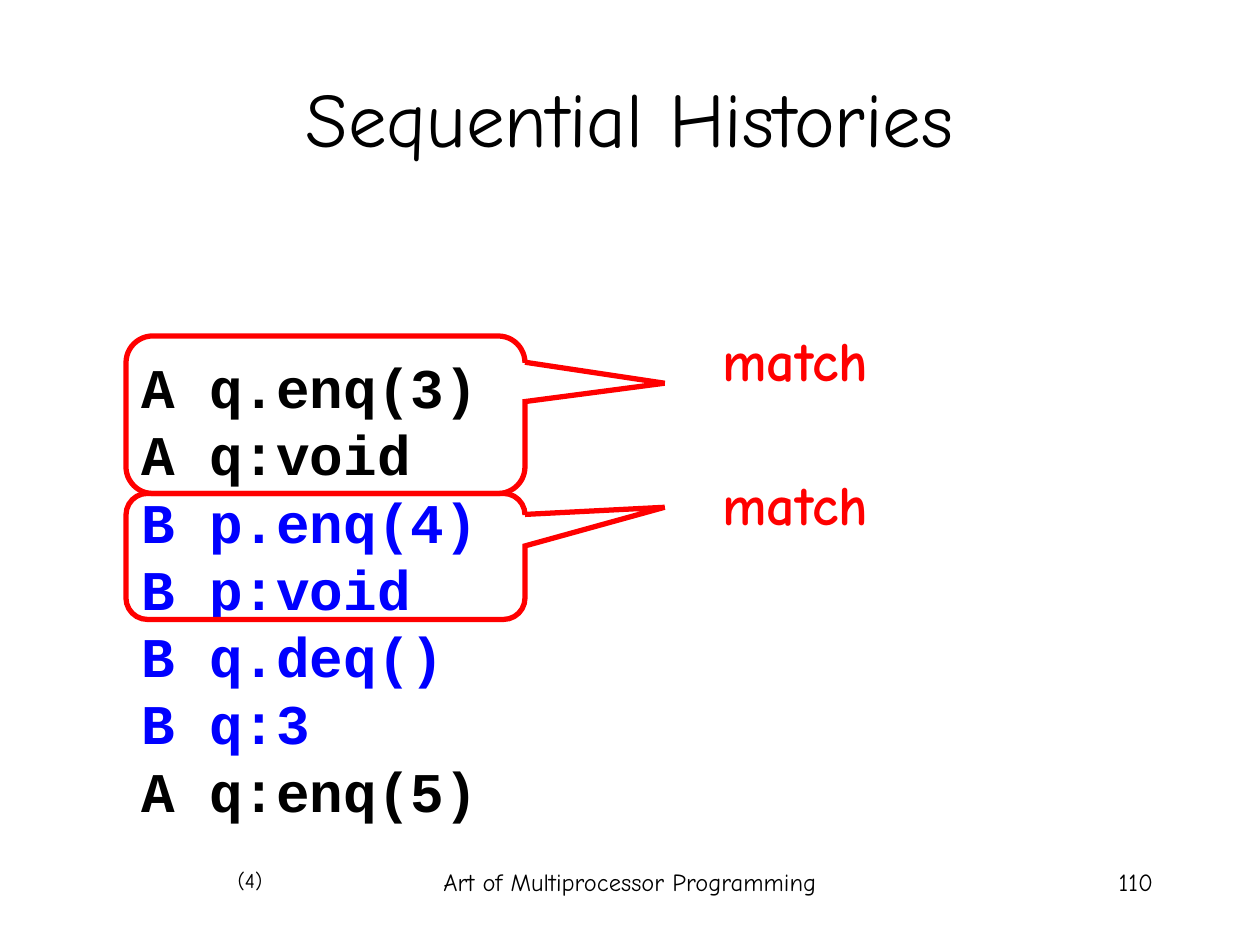
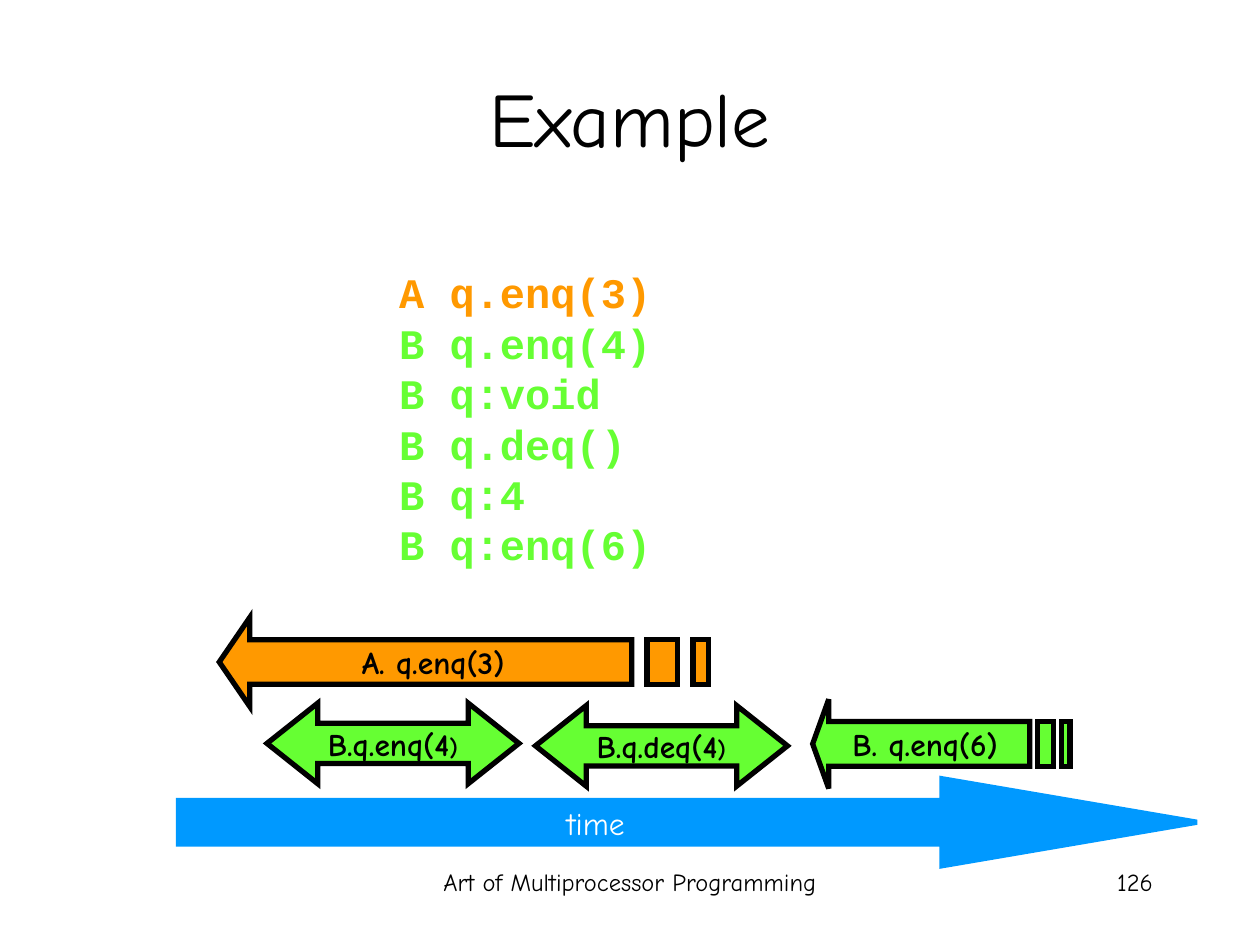
from lxml.etree import SubElement
from pptx import Presentation
from pptx.dml.color import RGBColor
from pptx.enum.shapes import MSO_SHAPE
from pptx.enum.text import MSO_ANCHOR, PP_ALIGN
from pptx.oxml.ns import qn
from pptx.util import Pt

BLACK, WHITE, RED, BLUE = "000000", "FFFFFF", "FF0000", "0000FF"
ORANGE, GREEN, SKY = "FF9900", "66FF33", "0099FF"
HAND, CODE = "Comic Neue", "Courier New"
LEFT, CENTER, RIGHT = PP_ALIGN.LEFT, PP_ALIGN.CENTER, PP_ALIGN.RIGHT


def color(hex_string):
    return RGBColor.from_string(hex_string)


def style_span(span, size, hex_string=BLACK, font=HAND, bold=False):
    span.font.name = font
    span.font.size = Pt(size)
    span.font.bold = bold
    span.font.color.rgb = color(hex_string)


def add_text(page, left, top, width, height, text, size, align=LEFT, **style):
    box = page.shapes.add_textbox(Pt(left), Pt(top), Pt(width), Pt(height))
    box.text_frame.word_wrap = True
    box.text_frame.text = text
    for para in box.text_frame.paragraphs:
        para.alignment = align
        style_span(para.runs[0], size, **style)
    return box


def style_shape(shape, line, fill=None):
    """Thick mitred outline, flat fill or none."""
    shape.shadow.inherit = False
    shape.line.color.rgb = color(line)
    shape.line.width = Pt(3)
    SubElement(shape.element.spPr.find(qn("a:ln")), qn("a:miter"), lim="800000")
    if fill:
        shape.fill.solid()
        shape.fill.fore_color.rgb = color(fill)
    else:
        shape.fill.background()


def add_preset(page, kind, left, top, width, height, adjustments, line, fill=None):
    shape = page.shapes.add_shape(kind, Pt(left), Pt(top), Pt(width), Pt(height))
    for index, value in enumerate(adjustments):
        shape.adjustments[index] = value
    style_shape(shape, line, fill)
    return shape


def label_shape(shape, text):
    """Centred bold label on one line."""
    frame = shape.text_frame
    frame.text = text
    frame.word_wrap = False
    frame.vertical_anchor = MSO_ANCHOR.MIDDLE
    para = frame.paragraphs[0]
    para.alignment = CENTER
    style_span(para.runs[0], 18, bold=True)
    return para


def add_page(deck, title, number):
    """Blank page with the shared footer, number and title."""
    page = deck.slides.add_slide(deck.slide_layouts[6])
    add_text(page, 246, 492, 228, 36, "Art of Multiprocessor Programming", 14, CENTER)
    add_text(page, 516, 492, 150, 36, number, 14, RIGHT)
    box = add_text(page, 36, 21.6, 648, 90, title, 44, CENTER)
    box.text_frame.vertical_anchor = MSO_ANCHOR.MIDDLE
    return page


def add_history(page, left, top, size, events, thread_colors):
    """Code listing, each event in the colour of its thread."""
    height = len(events) * size * 1.2 + 7.2
    box = add_text(page, left, top, 219.6, height, "\n".join(events), size,
                   font=CODE, bold=True)
    for para in box.text_frame.paragraphs:
        para.runs[0].font.color.rgb = color(thread_colors[para.text[0]])


def add_match(page, left, top, width, height, pointer, label_top):
    """Callout around a call and its response, with its label."""
    add_preset(page, MSO_SHAPE.ROUNDED_RECTANGULAR_CALLOUT, left, top, width, height,
               (0.85, pointer, 0.17), RED)
    add_text(page, left + 324, top + label_top, 107.3, 45.4, "match", 32, RIGHT,
             hex_string=RED, bold=True)


def add_time_arrow(page, left, top, width, height):
    add_preset(page, MSO_SHAPE.RIGHT_ARROW, left, top, width, height,
               (0.5, 2.93), SKY, SKY)
    add_text(page, left + 210.2, top + 10.8, 51.8, 28.8, "time", 18, RIGHT,
             hex_string=WHITE)


def add_finished_call(page, left, top, name):
    """Double arrow for a call that has returned."""
    arrow = add_preset(page, MSO_SHAPE.LEFT_RIGHT_ARROW, left, top, 144, 46,
                       (0.5, 0.63), BLACK, GREEN)
    para = label_shape(arrow, name)
    span = para.add_run()
    span.text = ")"
    style_span(span, 14, bold=True)


def add_pending_call(page, left, top, width, height, name, fill):
    """Left arrow whose tail breaks up into two stripes."""
    def point(across, down):
        return Pt(left + width * across / 32), Pt(top + height * down / 4)

    outline = [point(*spot) for spot in
               ((2, 0), (2, 1), (27, 1), (27, 3), (2, 3), (2, 4), (0, 2))]
    builder = page.shapes.build_freeform(*outline[0])
    builder.add_line_segments(outline[1:], close=True)
    for start, end in ((28, 30), (31, 32)):
        builder.move_to(*point(end, 1))
        builder.add_line_segments(
            [point(end, 3), point(start, 3), point(start, 1)], close=True)
    arrow = builder.convert_to_shape()
    style_shape(arrow, BLACK, fill)
    label_shape(arrow, name)
    # Centre the label on the solid part
    arrow.text_frame.margin_left = 0
    arrow.text_frame.margin_right = Pt(width / 8)


def build_sequential_histories(deck):
    page = add_page(deck, "Sequential Histories", "110")
    events = ["A q.enq(3)", "A q:void", "B p.enq(4)", "B p:void",
              "B q.deq()", "B q:3", "A q:enq(5)"]
    add_history(page, 74, 198, 32, events, {"A": BLACK, "B": BLUE})
    add_match(page, 72, 192, 228, 90, -0.2, -9.8)
    add_match(page, 72, 282, 228, 72, -0.39, -17)
    add_text(page, 126, 492, 31, 21.6, "(4)", 12, RIGHT)


def build_example(deck):
    page = add_page(deck, "Example", "126")
    events = ["A q.enq(3)", "B q.enq(4)", "B q:void", "B q.deq()", "B q:4", "B q:enq(6)"]
    add_history(page, 221, 149, 24, events, {"A": ORANGE, "B": GREEN})
    # Timeline with the calls above it
    add_time_arrow(page, 102, 445, 582, 49.7)
    add_finished_call(page, 152.6, 401.8, "B.q.enq(4")
    add_pending_call(page, 125.3, 352.8, 279.4, 51, "A. q.enq(3)", ORANGE)
    add_finished_call(page, 306, 403.2, "B.q.deq(4")
    add_pending_call(page, 464.4, 399.6, 147, 51, "B. q.enq(6)", GREEN)


def main():
    deck = Presentation()
    deck.slide_width, deck.slide_height = Pt(720), Pt(540)
    build_sequential_histories(deck)
    build_example(deck)
    deck.save("out.pptx")


if __name__ == "__main__":
    main()
